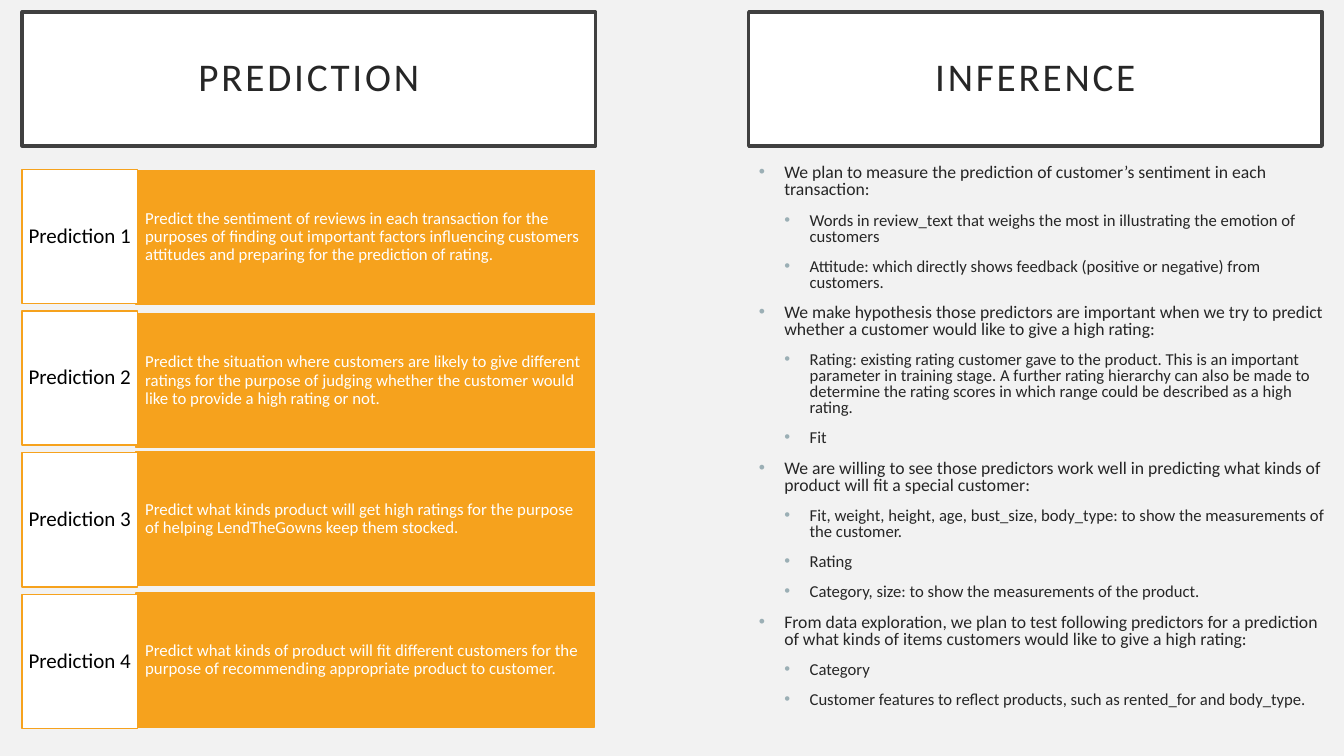
from dataclasses import dataclass

from lxml.etree import SubElement
from pptx import Presentation
from pptx.dml.color import RGBColor
from pptx.enum.shapes import MSO_SHAPE
from pptx.enum.text import MSO_ANCHOR, MSO_AUTO_SIZE, PP_ALIGN
from pptx.oxml.ns import qn
from pptx.util import Cm, Pt


@dataclass(frozen=True)
class Theme:
    font: str = "Calibri"
    background: str = "F2F2F2"
    white: str = "FFFFFF"
    black: str = "000000"
    ink: str = "262626"
    frame: str = "404040"
    orange: str = "F6A21D"
    bullet: str = "9BAFB5"
    heading_size: float = 28
    label_size: float = 15
    card_size: float = 12
    point_sizes: tuple = (12.6, 11.9)


theme = Theme()


def write(paragraph, text, size, color, align=PP_ALIGN.LEFT, spacing=0.9):
    paragraph.text = text
    paragraph.alignment = align
    paragraph.line_spacing = spacing
    paragraph.font.name = theme.font
    paragraph.font.size = Pt(size)
    paragraph.font.color.rgb = RGBColor.from_string(color)


def style_box(box, fill, line, line_width, inset_x, inset_y):
    box.fill.solid()
    box.fill.fore_color.rgb = RGBColor.from_string(fill)
    box.line.color.rgb = RGBColor.from_string(line)
    box.line.width = Pt(line_width)
    frame = box.text_frame
    frame.word_wrap = True
    frame.auto_size = MSO_AUTO_SIZE.NONE
    frame.vertical_anchor = MSO_ANCHOR.MIDDLE
    frame.margin_left = frame.margin_right = Cm(inset_x)
    frame.margin_top = frame.margin_bottom = Cm(inset_y)


prs = Presentation()
prs.slide_width, prs.slide_height = Cm(33.87), Cm(19.05)
slide = prs.slides.add_slide(prs.slide_layouts[1])
slide.background.fill.solid()
slide.background.fill.fore_color.rgb = RGBColor.from_string(theme.background)

# Column headings
LEFT, RIGHT, HEADING_TOP, HEADING_WIDTH, BOX_HEIGHT = 0.56, 18.87, 0.3, 14.45, 3.38
prediction_heading = slide.shapes.title
prediction_heading.left, prediction_heading.top = Cm(LEFT), Cm(HEADING_TOP)
prediction_heading.width, prediction_heading.height = Cm(HEADING_WIDTH), Cm(BOX_HEIGHT)
inference_heading = slide.shapes.add_shape(
    MSO_SHAPE.RECTANGLE, Cm(RIGHT), Cm(HEADING_TOP), Cm(HEADING_WIDTH), Cm(BOX_HEIGHT))
inference_heading.shadow.inherit = False

for heading, words in ((prediction_heading, "PREDICTION"), (inference_heading, "INFERENCE")):
    style_box(heading, theme.white, theme.frame, 2.5, 0.5, 0.5)
    line = heading.text_frame.paragraphs[0]
    write(line, words, theme.heading_size, theme.ink, PP_ALIGN.CENTER)
    line.runs[0].font._element.set("spc", "200")  # letter spacing of 2 pt

# Prediction cards: top of each description, and its text
predictions = [
    (4.29, "Predict the sentiment of reviews in each transaction for the purposes of finding out "
           "important factors influencing customers attitudes and preparing for the prediction of rating."),
    (7.9, "Predict the situation where customers are likely to give different ratings for the purpose "
          "of judging whether the customer would like to provide a high rating or not."),
    (11.38, "Predict what kinds product will get high ratings for the purpose of helping "
            "LendTheGowns keep them stocked."),
    (14.94, "Predict what kinds of product will fit different customers for the purpose of "
            "recommending appropriate product to customer."),
]
LABEL_TOP, LABEL_PITCH, LABEL_WIDTH = 4.27, 3.57, 2.9
CARD_LEFT, CARD_WIDTH = 3.43, 11.56

for row, (card_top, description) in enumerate(predictions):
    card = slide.shapes.add_shape(
        MSO_SHAPE.RECTANGLE, Cm(CARD_LEFT), Cm(card_top), Cm(CARD_WIDTH), Cm(BOX_HEIGHT))
    card.shadow.inherit = False
    style_box(card, theme.orange, theme.orange, 1, 0.23, 0.86)
    write(card.text_frame.paragraphs[0], description, theme.card_size, theme.white)

    label = slide.shapes.add_shape(
        MSO_SHAPE.RECTANGLE, Cm(LEFT), Cm(LABEL_TOP + row * LABEL_PITCH),
        Cm(LABEL_WIDTH), Cm(BOX_HEIGHT))
    label.shadow.inherit = False
    style_box(label, theme.white, theme.orange, 1, 0.1, 0.33)
    write(label.text_frame.paragraphs[0], f"Prediction {row + 1}",
          theme.label_size, theme.black, PP_ALIGN.CENTER)

# Inference list: level and text of each point
points = [
    (0, "We plan to measure the prediction of customer’s sentiment in each transaction:"),
    (1, "Words in review_text that weighs the most in illustrating the emotion of customers"),
    (1, "Attitude: which directly shows feedback (positive or negative) from customers."),
    (0, "We make hypothesis those predictors are important when we try to predict whether "
        "a customer would like to give a high rating:"),
    (1, "Rating: existing rating customer gave to the product. This is an important parameter in "
        "training stage. A further rating hierarchy can also be made to determine the rating scores "
        "in which range could be described as a high rating."),
    (1, "Fit"),
    (0, "We are willing to see those predictors work well in predicting what kinds of product "
        "will fit a special customer:"),
    (1, "Fit, weight, height, age, bust_size, body_type: to show the measurements of the customer."),
    (1, "Rating"),
    (1, "Category, size: to show the measurements of the product."),
    (0, "From data exploration, we plan to test following predictors for a prediction of what kinds "
        "of items customers would like to give a high rating:"),
    (1, "Category"),
    (1, "Customer features to reflect products, such as rented_for and body_type."),
]
inference_list = slide.placeholders[1]
inference_list.left, inference_list.top = Cm(RIGHT), Cm(4.04)
inference_list.width, inference_list.height = Cm(14.99), Cm(14.71)
list_frame = inference_list.text_frame
list_frame.word_wrap = True
list_frame.auto_size = MSO_AUTO_SIZE.NONE
INDENT = Cm(0.64)

for number, (level, words) in enumerate(points):
    point = list_frame.add_paragraph() if number else list_frame.paragraphs[0]
    point.level = level
    point.space_before = Pt(10)
    # Bullet and hanging indent
    properties = point._p.get_or_add_pPr()
    properties.set("marL", str(INDENT * (level + 1)))
    properties.set("indent", str(-INDENT))
    SubElement(SubElement(properties, qn("a:buClr")), qn("a:srgbClr"), val=theme.bullet)
    SubElement(properties, qn("a:buFont"), typeface="Arial")
    SubElement(properties, qn("a:buChar"), char="•")
    write(point, words, theme.point_sizes[level], theme.ink, spacing=0.8)

prs.save("out.pptx")
